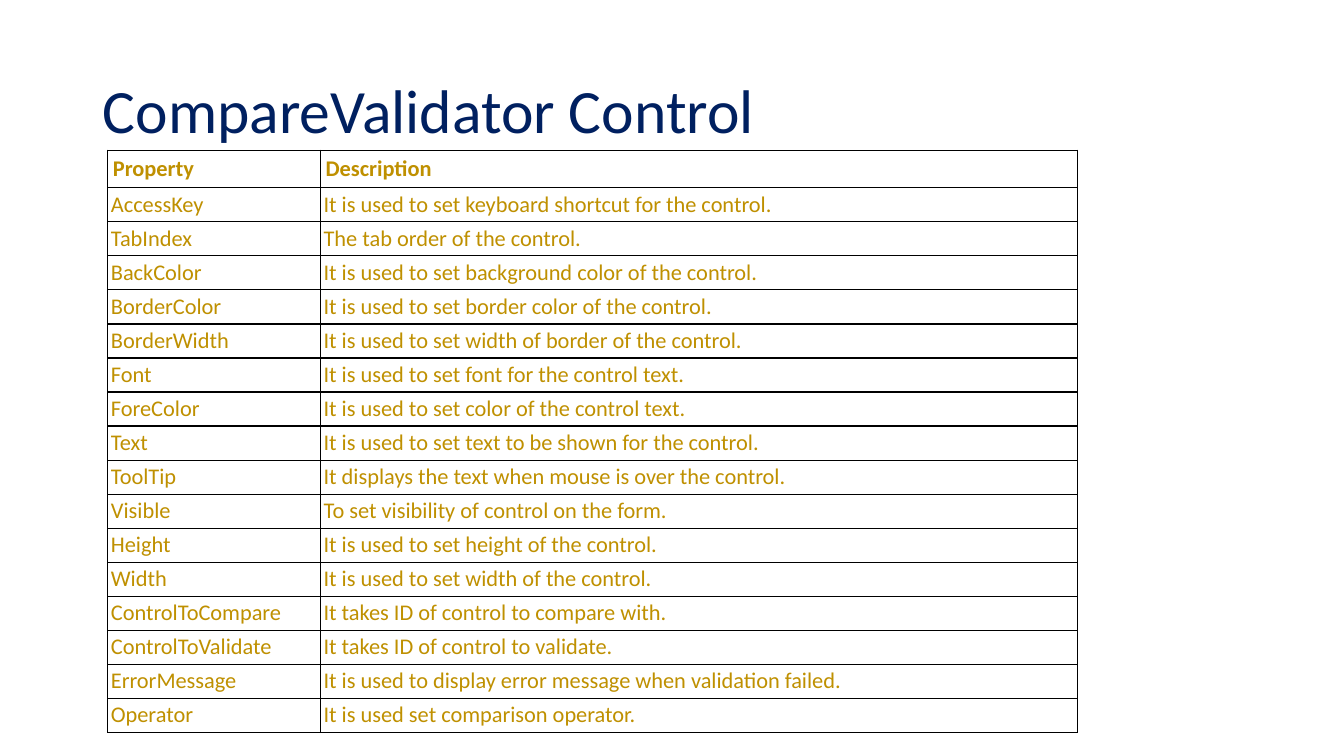
from dataclasses import dataclass

from lxml.etree import SubElement
from pptx import Presentation
from pptx.dml.color import RGBColor
from pptx.enum.text import MSO_ANCHOR, PP_ALIGN
from pptx.oxml.ns import qn
from pptx.util import Inches, Pt


@dataclass(frozen=True)
class Theme:
    font: str = "Calibri"
    navy: RGBColor = RGBColor(0x00, 0x20, 0x60)
    gold: RGBColor = RGBColor(0xBF, 0x90, 0x00)
    border: str = "000000"
    title_size: Pt = Pt(44)
    table_size: Pt = Pt(16)
    border_width: Pt = Pt(1)


theme = Theme()

PROPERTIES = [
    ("Property", "Description"),
    ("AccessKey", "It is used to set keyboard shortcut for the control."),
    ("TabIndex", "The tab order of the control."),
    ("BackColor", "It is used to set background color of the control."),
    ("BorderColor", "It is used to set border color of the control."),
    ("BorderWidth", "It is used to set width of border of the control."),
    ("Font", "It is used to set font for the control text."),
    ("ForeColor", "It is used to set color of the control text."),
    ("Text", "It is used to set text to be shown for the control."),
    ("ToolTip", "It displays the text when mouse is over the control."),
    ("Visible", "To set visibility of control on the form."),
    ("Height", "It is used to set height of the control."),
    ("Width", "It is used to set width of the control."),
    ("ControlToCompare", "It takes ID of control to compare with."),
    ("ControlToValidate", "It takes ID of control to validate."),
    ("ErrorMessage", "It is used to display error message when validation failed."),
    ("Operator", "It is used set comparison operator."),
]


def style_paragraph(paragraph, size, color, bold=False):
    paragraph.font.name = theme.font
    paragraph.font.size = size
    paragraph.font.bold = bold
    paragraph.font.color.rgb = color


def add_borders(cell):
    properties = cell._tc.get_or_add_tcPr()
    for side in ("a:lnL", "a:lnR", "a:lnT", "a:lnB"):
        line = SubElement(properties, qn(side), w=str(theme.border_width))
        fill = SubElement(line, qn("a:solidFill"))
        SubElement(fill, qn("a:srgbClr"), val=theme.border)


prs = Presentation()
prs.slide_width = Inches(13.33)
prs.slide_height = Inches(7.5)
slide = prs.slides.add_slide(prs.slide_layouts[5])

title = slide.shapes.title
title.left, title.top = Inches(0.92), Inches(0.4)
title.width, title.height = Inches(11.5), Inches(1.45)
title.text_frame.text = "CompareValidator Control"
title.text_frame.vertical_anchor = MSO_ANCHOR.MIDDLE
heading = title.text_frame.paragraphs[0]
heading.alignment = PP_ALIGN.LEFT
heading.line_spacing = 0.9
style_paragraph(heading, theme.title_size, theme.navy)

table_height = Inches(5.78)
header_height = Inches(0.37)
property_table = slide.shapes.add_table(
    len(PROPERTIES), 2, Inches(1.07), Inches(1.49), Inches(9.62), table_height
).table
property_table.first_row = False
property_table.horz_banding = False
property_table.columns[0].width = Inches(2.11)
property_table.columns[1].width = Inches(7.51)

for row_index, entry in enumerate(PROPERTIES):
    is_header = row_index == 0
    property_table.rows[row_index].height = (
        header_height if is_header
        else (table_height - header_height) // (len(PROPERTIES) - 1)
    )
    inset = Inches(0.05 if is_header else 0.03)
    for column_index, wording in enumerate(entry):
        cell = property_table.cell(row_index, column_index)
        cell.text = wording
        cell.margin_left = cell.margin_right = inset
        cell.margin_top = cell.margin_bottom = inset
        paragraph = cell.text_frame.paragraphs[0]
        paragraph.alignment = PP_ALIGN.LEFT if is_header else PP_ALIGN.JUSTIFY
        style_paragraph(paragraph, theme.table_size, theme.gold, is_header)
        add_borders(cell)
        cell.fill.background()

prs.save("out.pptx")
